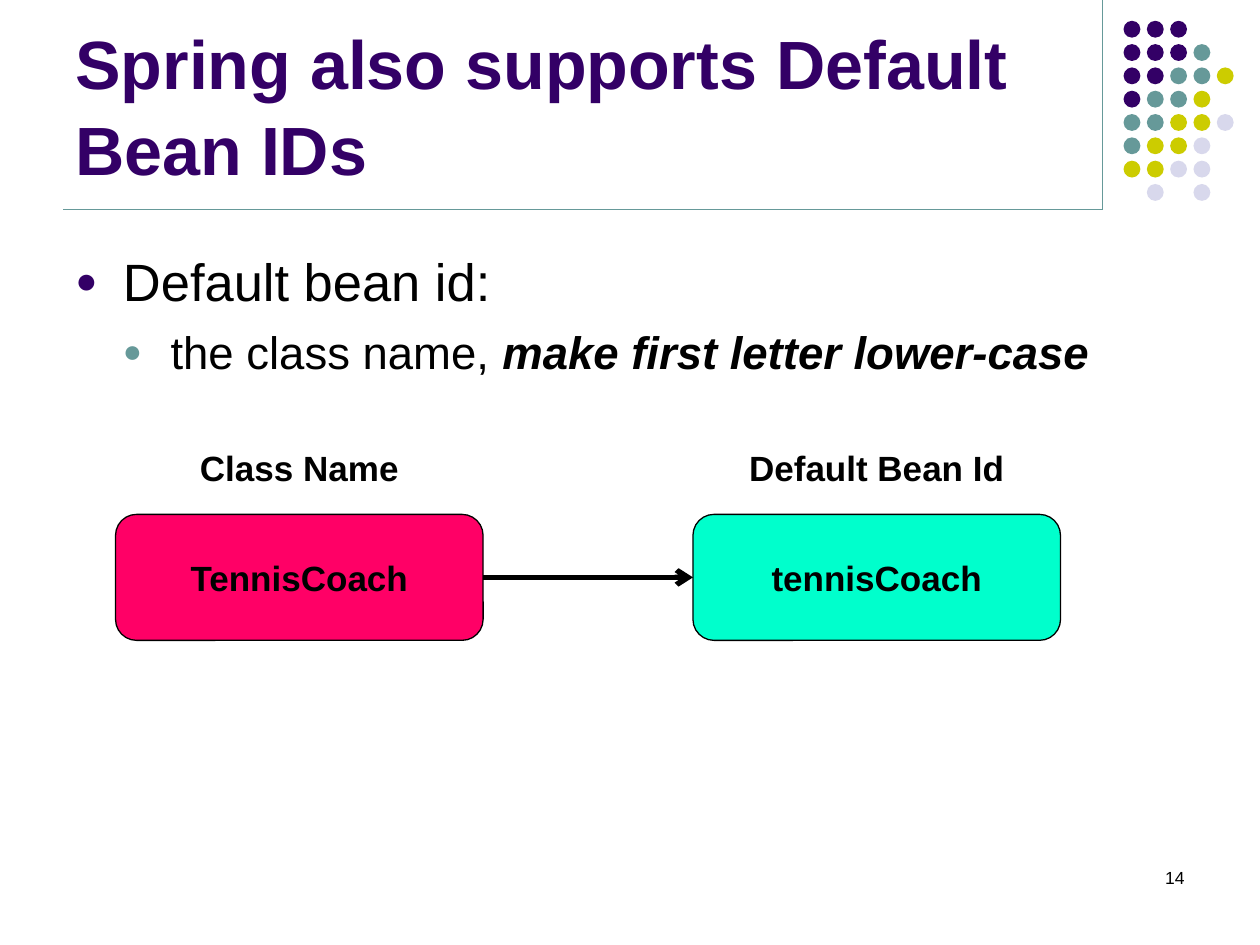
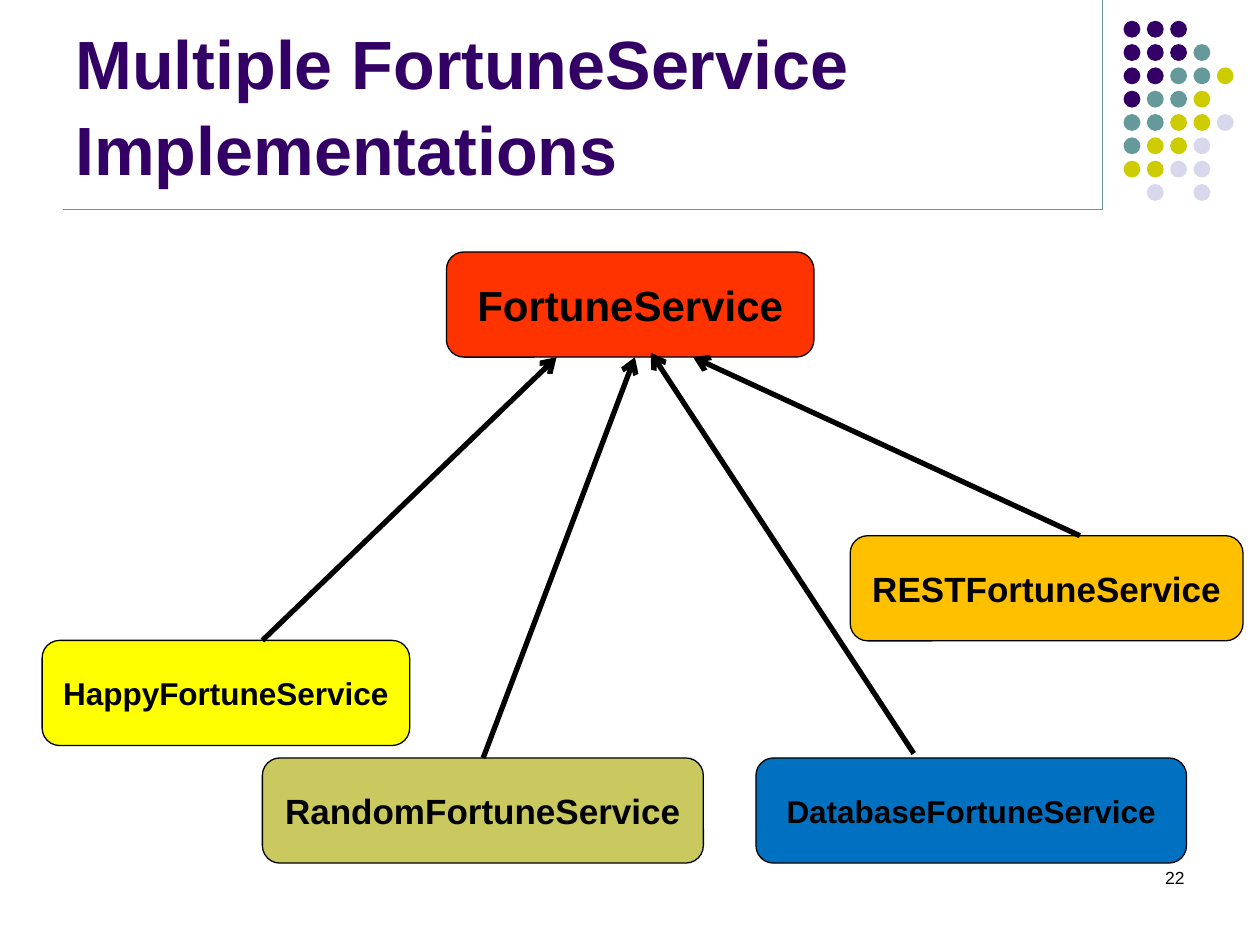
from dataclasses import dataclass

import lxml.etree
import pptx
import pptx.dml.color
import pptx.enum.shapes
import pptx.enum.text
import pptx.oxml.ns
import pptx.util

Cm = pptx.util.Cm
Pt = pptx.util.Pt
Align = pptx.enum.text.PP_ALIGN
Anchor = pptx.enum.text.MSO_ANCHOR
Preset = pptx.enum.shapes.MSO_SHAPE

FONT = "Arial"
COLOURS = {
    "purple": "330066",
    "teal": "669999",
    "olive": "CCCC00",
    "lavender": "D8D8EC",
    "black": "000000",
    "pink": "FF0066",
    "mint": "00FFCC",
    "red": "FF3300",
    "yellow": "FFFF00",
    "blue": "0070C0",
    "amber": "FFC000",
    "khaki": "C9C960",
}

DOT_COLOURS = {"p": "purple", "t": "teal", "o": "olive", "l": "lavender"}
DOT_ROWS = ["ppp", "pppt", "pptto", "ptto", "ttool", "tool", "ooll", " l l"]
DOT_LEFT, DOT_TOP, DOT_PITCH, DOT_SIZE = 22.65, 0.42, 0.47, 0.34

RULE_LEFT, RULE_RIGHT, RULE_Y = 1.27, 22.22, 4.23
BULLET_INDENT = 0.96
BOX_WIDTH = 7.41


@dataclass
class ClassBox:
    name: str
    colour: str
    left: float
    top: float
    width: float = BOX_WIDTH
    height: float = 2.12
    size: int = 20


@dataclass
class Line:
    start: tuple[float, float]
    end: tuple[float, float]
    colour: str = "black"
    weight: float = 3
    arrow: bool = True


@dataclass
class Bullet:
    text: str
    level: int
    colour: str
    size: int
    emphasis: str = ""


def rgb(name: str) -> pptx.dml.color.RGBColor:
    return pptx.dml.color.RGBColor.from_string(COLOURS[name])


def sub_element(parent, tag: str, **attributes: str):
    return lxml.etree.SubElement(parent, pptx.oxml.ns.qn(tag), attributes)


def write_text(paragraph, text: str, *, size: float, colour: str = "black",
               bold: bool = False, italic: bool = False, align=Align.LEFT,
               line_spacing: float = 1.0) -> None:
    paragraph.alignment = align
    paragraph.line_spacing = line_spacing
    run = paragraph.add_run()
    run.text = text
    run.font.name = FONT
    run.font.size = Pt(size)
    run.font.bold = bold
    run.font.italic = italic
    run.font.color.rgb = rgb(colour)


def add_text_frame(slide, left: float, top: float, width: float, height: float,
                   anchor=Anchor.TOP):
    frame = slide.shapes.add_textbox(Cm(left), Cm(top), Cm(width), Cm(height)).text_frame
    frame.word_wrap = True
    frame.vertical_anchor = anchor
    return frame


def add_filled_shape(slide, preset, colour: str, left: float, top: float,
                     width: float, height: float):
    shape = slide.shapes.add_shape(preset, Cm(left), Cm(top), Cm(width), Cm(height))
    shape.shadow.inherit = False
    shape.fill.solid()
    shape.fill.fore_color.rgb = rgb(colour)
    shape.line.fill.background()
    return shape


def add_line(slide, line: Line) -> None:
    connector = slide.shapes.add_connector(
        pptx.enum.shapes.MSO_CONNECTOR.STRAIGHT,
        *(Cm(value) for value in (*line.start, *line.end)))
    connector.line.color.rgb = rgb(line.colour)
    connector.line.width = Pt(line.weight)
    properties = connector._element.spPr
    if line.arrow:
        sub_element(properties.find(pptx.oxml.ns.qn("a:ln")), "a:tailEnd", type="arrow")
    sub_element(properties, "a:effectLst")


def add_class_box(slide, box: ClassBox) -> None:
    shape = add_filled_shape(slide, Preset.ROUNDED_RECTANGLE, box.colour,
                             box.left, box.top, box.width, box.height)
    shape.line.color.rgb = rgb("black")
    shape.line.width = Pt(0.75)
    frame = shape.text_frame
    frame.word_wrap = True
    frame.vertical_anchor = Anchor.MIDDLE
    write_text(frame.paragraphs[0], box.name, size=box.size, bold=True, align=Align.CENTER)


def add_bullets(slide, bullets: list[Bullet]) -> None:
    frame = add_text_frame(slide, 1.27, 4.83, 22.86, 12.24)
    for index, bullet in enumerate(bullets):
        paragraph = frame.paragraphs[0] if index == 0 else frame.add_paragraph()
        properties = paragraph._p.get_or_add_pPr()
        properties.set("marL", str(Cm(BULLET_INDENT * (bullet.level + 1))))
        properties.set("indent", str(-Cm(BULLET_INDENT)))
        sub_element(sub_element(properties, "a:buClr"), "a:srgbClr", val=COLOURS[bullet.colour])
        sub_element(properties, "a:buSzPct", val="70000")
        sub_element(properties, "a:buFont", typeface=FONT)
        sub_element(properties, "a:buChar", char="●")
        paragraph.level = bullet.level
        if index:
            paragraph.space_before = Pt(bullet.size * 0.2)
        write_text(paragraph, bullet.text, size=bullet.size, line_spacing=1.05)
        if bullet.emphasis:
            write_text(paragraph, bullet.emphasis, size=bullet.size, bold=True,
                       italic=True, line_spacing=1.05)


def add_framed_slide(deck, title: str, number: int):
    """Add a slide with the rules, dot pattern, title and page number."""
    slide = deck.slides.add_slide(deck.slide_layouts[6])
    corner = (RULE_RIGHT, RULE_Y)
    for start in ((RULE_RIGHT, 0), (RULE_LEFT, RULE_Y)):
        add_line(slide, Line(start, corner, "teal", 0.75, arrow=False))
    for row, codes in enumerate(DOT_ROWS):
        for column, code in enumerate(codes):
            if code in DOT_COLOURS:
                add_filled_shape(slide, Preset.OVAL, DOT_COLOURS[code],
                                 DOT_LEFT + column * DOT_PITCH, DOT_TOP + row * DOT_PITCH,
                                 DOT_SIZE, DOT_SIZE)
    heading = add_text_frame(slide, 1.27, 0.34, 20.95, 3.6, Anchor.BOTTOM)
    write_text(heading.paragraphs[0], title, size=39, colour="purple", bold=True,
               line_spacing=1.05)
    page_number = add_text_frame(slide, 18.2, 17.36, 5.93, 1.27)
    write_text(page_number.paragraphs[0], str(number), size=10, align=Align.RIGHT)
    return slide


def build_default_ids(deck) -> None:
    slide = add_framed_slide(deck, "Spring also supports Default Bean IDs", 14)
    add_bullets(slide, [
        Bullet("Default bean id:", 0, "purple", 30),
        Bullet("the class name, ", 1, "teal", 26, "make first letter lower-case"),
    ])
    class_left, bean_left, box_top, box_height = 2.33, 13.97, 10.37, 2.54
    for label, name, colour, left in (
        ("Class Name", "TennisCoach", "pink", class_left),
        ("Default Bean Id", "tennisCoach", "mint", bean_left),
    ):
        caption = add_text_frame(slide, left, 8.47, BOX_WIDTH, 1.9, Anchor.MIDDLE)
        write_text(caption.paragraphs[0], label, size=20, bold=True, align=Align.CENTER)
        add_class_box(slide, ClassBox(name, colour, left, box_top, height=box_height))
    middle = box_top + box_height / 2
    add_line(slide, Line((class_left + BOX_WIDTH, middle), (bean_left, middle)))


def build_implementations(deck) -> None:
    slide = add_framed_slide(deck, "Multiple FortuneService Implementations", 22)
    add_class_box(slide, ClassBox("FortuneService", "red", 9, 5.08, size=24))
    for implementation, arrow in (
        (ClassBox("HappyFortuneService", "yellow", 0.85, 12.91, size=18),
         Line((5.29, 12.91), (11.22, 7.2))),
        (ClassBox("DatabaseFortuneService", "blue", 15.24, 15.28, 8.68, size=18),
         Line((18.42, 15.19), (13.12, 7.11))),
        (ClassBox("RESTFortuneService", "amber", 17.14, 10.8, 7.92),
         Line((21.77, 10.8), (13.97, 7.2))),
        (ClassBox("RandomFortuneService", "khaki", 5.29, 15.28, 8.89),
         Line((9.74, 15.28), (12.8, 7.2))),
    ):
        add_class_box(slide, implementation)
        add_line(slide, arrow)


def main() -> None:
    deck = pptx.Presentation()
    deck.slide_width = Cm(25.4)
    deck.slide_height = Cm(19.05)
    build_default_ids(deck)
    build_implementations(deck)
    deck.save("out.pptx")


if __name__ == "__main__":
    main()
